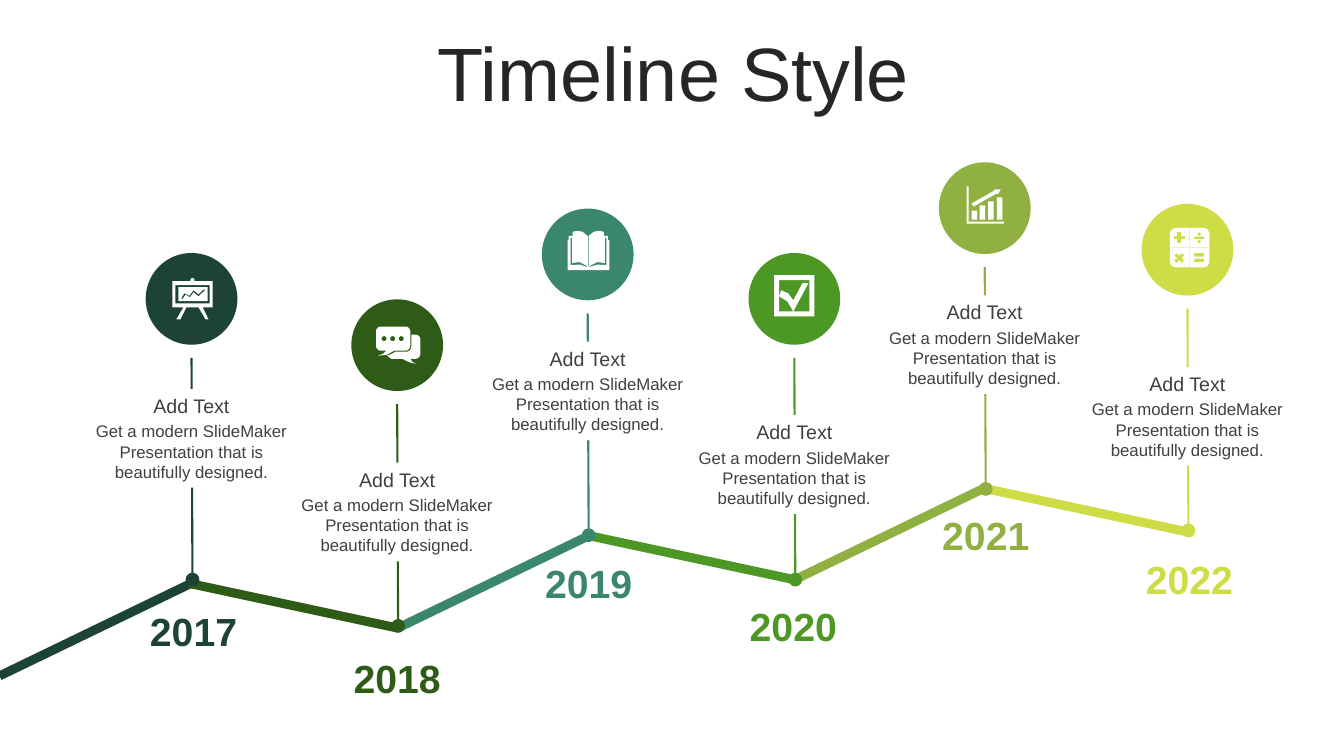
import math
from dataclasses import dataclass

from lxml import etree
from pptx import Presentation
from pptx import util as u
from pptx.dml.color import RGBColor
from pptx.enum import shapes, text
from pptx.oxml.ns import qn

Outline = list[tuple[float, float]]

COLORS = {
    "title": "262626", "label": "404040", "paper": "FFFFFF",
    "2017": "1C4335", "2018": "2E5B15", "2019": "3A876B",
    "2020": "4D9724", "2021": "90B141", "2022": "CEDD46",
}
FONT = "Arial"
HEADING = "Add Text"
BODY = "Get a modern SlideMaker Presentation that is beautifully designed."
ICON_UNIT = 0.72
CIRCLE = 65.5
CIRCLE_RISE = 74.9
STEM = 158.4
STRIP_W, STRIP_H = 152.6, 6.5
LABEL_W = 165.6
YEAR_W = 112.3


@dataclass
class Icon:
    """Outlines in icon units; left and top are points from the circle's centre."""
    left: float
    top: float
    outlines: list[Outline]


@dataclass
class Milestone:
    year: str
    x: float
    stem_top: float
    label_top: float
    year_at: tuple[float, float]
    strip_center: tuple[float, float]
    icon: Icon


def box(x0: float, y0: float, x1: float, y1: float) -> Outline:
    return [(x0, y0), (x1, y0), (x1, y1), (x0, y1)]


def arc(cx: float, cy: float, r: float, start: float, end: float) -> Outline:
    steps = 16
    angles = [math.radians(start + (end - start) * i / steps) for i in range(steps + 1)]
    return [(cx + r * math.cos(a), cy + r * math.sin(a)) for a in angles]


def dot(cx: float, cy: float, r: float) -> Outline:
    return arc(cx, cy, r, 0, 360)


BOARD = Icon(-13.7, -14.8, [
    [(0, 3), (18, 3), *arc(20, 2, 2, 180, 360), (22, 3), (40, 3), (40, 29), (30, 29),
     (36, 41), (33, 41), (26, 29), (14, 29), (8, 41), (4, 41), (11, 29), (0, 29)],
    box(3, 7, 37, 25), box(6, 9, 35, 23),
    [(9, 20), (12, 15), (17, 17.5), (21, 12), (26, 16), (31.5, 10.8), (32.5, 12),
     (26, 18), (21, 14), (17.5, 19), (13, 16.5), (10, 21)],
])
CHAT = Icon(-15.1, -13.3, [
    [*arc(5, 5, 5, 180, 270), *arc(29, 5, 5, 270, 360), *arc(29, 19, 5, 0, 90),
     (18, 24), (11, 28), (2, 29), (7, 27), (10, 24), *arc(5, 19, 5, 90, 180)],
    [(35, 8), *arc(39, 13, 5, 270, 360), *arc(39, 27, 5, 0, 90), (34, 32), (36, 35),
     (40, 37), (33, 35.5), (26, 32), (15, 32), (11, 29), (15, 27.5), (19, 25),
     *arc(30, 20, 5, 90, 0)],
    *[dot(x, 12, 2.5) for x in (8, 16.5, 25)],
])
PAGE_EDGE = [(3, 7), (4.5, 7), (4.5, 32), (12, 31), (20, 35.3), (20, 36), (12, 33.5), (3, 34)]
BOOK = Icon(-14.4, -16.9, [
    [(0, 9), (1, 9), (1, 5), (5, 5), (5, 1), (10, 0), (15, 1), (20, 5), (21, 5),
     (26, 1), (31, 0), (36, 1), (36, 5), (40, 5), (40, 9), (41.5, 9), (41.5, 39), (0, 39)],
    PAGE_EDGE, [(41.5 - x, y) for x, y in PAGE_EDGE], box(20.4, 5, 21.1, 35),
])
TICK = Icon(-14.4, -16.9, [
    box(0, 0, 40, 41), box(5, 5, 35, 36),
    [(5, 21), (7, 15), (14, 18), (19, 25), (28, 8), (34, 8), (19, 36), (13, 26)],
])
CHART = Icon(-13, -15.5, [
    *[box(x, y, x + 5.5, 33) for x, y in ((5, 24), (13, 19), (21.5, 15), (30, 11))],
    [(27, 3), (34, 3), (31, 8), (30, 7), (7, 20), (5, 17), (28, 4)],
    [(0, 0), (2, 0), (2, 35), (37, 35), (37, 37), (0, 37)],
])
CALCULATOR = Icon(-12.5, -15.5, [
    [*arc(6, 6, 6, 180, 270), *arc(33, 6, 6, 270, 360),
     *arc(33, 33, 6, 0, 90), *arc(6, 33, 6, 90, 180)],
    box(19.2, 0, 19.8, 39), box(0, 19.2, 19.2, 19.8), box(19.8, 19.2, 39, 19.8),
    [(7, 4), (11, 4), (11, 8), (15, 8), (15, 11), (11, 11),
     (11, 15), (7, 15), (7, 11), (4, 11), (4, 8), (7, 8)],
    [(7, 25), (4, 27), (7, 30), (4, 32), (7, 35), (9, 32),
     (12, 35), (14, 32), (12, 30), (14, 27), (12, 25), (9, 27)],
    dot(29, 6, 1.7), box(24, 8.5, 34, 11), dot(29, 13.5, 1.7),
    box(24, 25, 34, 28.5), box(24, 30.5, 34, 34),
])

MILESTONES = [
    Milestone("2017", 136.8, 255.6, 277.9, (82.1, 430.6), (68.4, 449.6), BOARD),
    Milestone("2018", 283.7, 288.7, 330.5, (227.5, 463.7), (209.5, 432.7), CHAT),
    Milestone("2019", 419.8, 223.9, 244.1, (364.3, 396), (353.5, 415.1), BOOK),
    Milestone("2020", 567.4, 255.6, 296.6, (510.5, 427), (494.6, 398.5), TICK),
    Milestone("2021", 703.4, 190.8, 211, (648, 361.4), (635.8, 381.2), CHART),
    Milestone("2022", 848.2, 220.5, 262.1, (793.4, 393.1), (776.9, 364.7), CALCULATOR),
]


def paint(sp, color: str) -> None:
    sp.shadow.inherit = False
    sp.fill.solid()
    sp.fill.fore_color.rgb = RGBColor.from_string(COLORS[color])
    sp.line.fill.background()


def add_solid(s, kind, left: float, top: float, width: float, height: float, color: str):
    sp = s.shapes.add_shape(kind, u.Pt(left), u.Pt(top), u.Pt(width), u.Pt(height))
    paint(sp, color)
    return sp


def add_text(parent, content: str, left: float, top: float, width: float, height: float,
             size: float, color: str, bold: bool = False):
    """Add a centred, wrapping text box to a slide or a group."""
    sp = parent.shapes.add_textbox(u.Pt(left), u.Pt(top), u.Pt(width), u.Pt(height))
    tf = sp.text_frame
    tf.word_wrap = True
    tf.text = content
    p = tf.paragraphs[0]
    p.alignment = text.PP_ALIGN.CENTER
    font = p.runs[0].font
    font.name, font.size, font.bold = FONT, u.Pt(size), bold
    font.color.rgb = RGBColor.from_string(COLORS[color])
    return sp


def add_stem(s, m: Milestone) -> None:
    """Draw the thin line that ends in a round dot on the timeline."""
    line = s.shapes.add_connector(shapes.MSO_CONNECTOR.STRAIGHT, u.Pt(m.x), u.Pt(m.stem_top),
                                  u.Pt(m.x + 0.7), u.Pt(m.stem_top + STEM))
    line.line.width = u.Pt(1.5)
    line.line.color.rgb = RGBColor.from_string(COLORS[m.year])
    etree.SubElement(line.line._get_or_add_ln(), qn("a:tailEnd"), type="oval", w="lg", len="lg")
    etree.SubElement(line._element.spPr, qn("a:effectLst"))


def add_icon(s, icon: Icon, cx: float, cy: float) -> None:
    contours = [[(u.Pt(cx + icon.left + x * ICON_UNIT), u.Pt(cy + icon.top + y * ICON_UNIT))
                 for x, y in outline] for outline in icon.outlines]
    builder = s.shapes.build_freeform(*contours[0][0])
    builder.add_line_segments(contours[0][1:])
    for contour in contours[1:]:
        builder.move_to(*contour[0])
        builder.add_line_segments(contour[1:])
    paint(builder.convert_to_shape(), "paper")


def add_milestone(s, m: Milestone) -> None:
    circle_top = m.stem_top - CIRCLE_RISE
    add_solid(s, shapes.MSO_SHAPE.OVAL, m.x - CIRCLE / 2, circle_top, CIRCLE, CIRCLE, m.year)
    add_stem(s, m)
    add_icon(s, m.icon, m.x, circle_top + CIRCLE / 2)
    add_text(s, m.year, *m.year_at, YEAR_W, 41, 28, m.year, bold=True)
    label = s.shapes.add_group_shape()
    for content, drop, height, size in ((HEADING, 0, 24.5, 14), (BODY, 19.4, 51.1, 12)):
        sp = add_text(label, content, m.x - LABEL_W / 2, m.label_top + drop,
                      LABEL_W, height, size, "label")
        sp.fill.solid()
        sp.fill.fore_color.rgb = RGBColor.from_string(COLORS["paper"])


def main() -> None:
    prs = Presentation()
    prs.slide_width, prs.slide_height = u.Pt(960), u.Pt(540)
    s = prs.slides.add_slide(prs.slide_layouts[6])
    title = add_text(s, "Timeline Style", 25.2, 26.6, 911.5, 56.9, 54, "title")
    title.text_frame.vertical_anchor = text.MSO_ANCHOR.MIDDLE
    title.text_frame.paragraphs[0].line_spacing = 0.9
    for i, m in enumerate(MILESTONES):
        cx, cy = m.strip_center
        strip = add_solid(s, shapes.MSO_SHAPE.RECTANGLE, cx - STRIP_W / 2, cy - STRIP_H / 2,
                          STRIP_W, STRIP_H, m.year)
        strip.rotation = 12.1 if i % 2 else 334.2
    for m in MILESTONES:
        add_milestone(s, m)
    prs.save("out.pptx")


if __name__ == "__main__":
    main()
